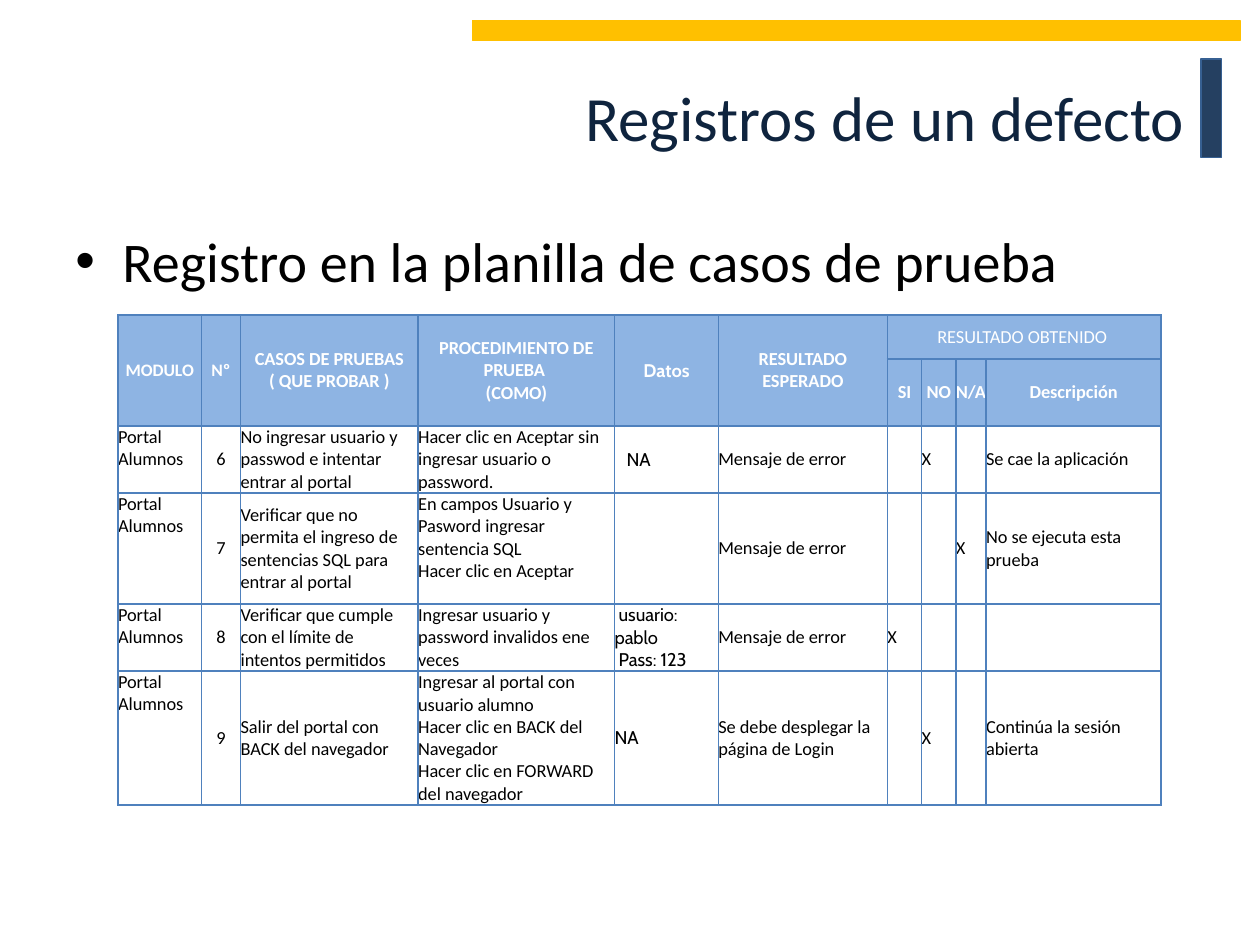
import dataclasses
import typing

import lxml.etree
import pptx
import pptx.dml.color
import pptx.enum.shapes
import pptx.enum.text
import pptx.oxml.ns
import pptx.util

Cm = pptx.util.Cm
Pt = pptx.util.Pt
Align = pptx.enum.text.PP_ALIGN
Anchor = pptx.enum.text.MSO_ANCHOR


@dataclasses.dataclass(frozen=True)
class Theme:
    """Colours, fonts and type sizes of the slide."""
    navy: str = "254061"
    navy_line: str = "376092"
    gold: str = "FFC000"
    title: str = "0F243E"
    header: str = "8EB4E3"
    grid: str = "4F81BD"
    white: str = "FFFFFF"
    black: str = "000000"
    font: str = "Calibri"
    data_font: str = "Cabin"
    title_size: float = 36
    body_size: float = 32
    table_size: float = 10.5
    small_size: float = 10


@dataclasses.dataclass(frozen=True)
class Bar:
    """A decorative bar, with lengths in centimetres."""
    left: float
    top: float
    width: float
    height: float
    fill: str
    line: str


@dataclasses.dataclass(frozen=True)
class Entry:
    """Text and format of one table cell; lines are paragraphs, \\v breaks a line."""
    text: str = ""
    align: Align = Align.LEFT
    anchor: Anchor = Anchor.MIDDLE
    color: str = "000000"
    font: str = "Calibri"
    size: float = 10.5
    bold: bool = False
    fill: typing.Optional[str] = None
    margin_left: float = 0
    margin_bottom: float = 0


@dataclasses.dataclass(frozen=True)
class TestCase:
    """One row of the test sheet."""
    number: str
    case: str
    procedure: str
    data: str
    expected: str
    outcome: str
    description: str
    case_anchor: Anchor = Anchor.MIDDLE
    data_indent: float = 0
    procedure_space: float = 0


THEME = Theme()
OUTCOMES = ("SI", "NO", "N/A")
COLUMN_WIDTHS = (1.68, 0.79, 3.58, 3.96, 2.09, 3.41, 0.69, 0.69, 0.61, 3.53)
ROW_HEIGHTS = (0.89, 1.35, 1.35, 2.24, 1.35, 2.7)
BARS = (
    Bar(24.21, 1.19, 0.41, 1.98, THEME.navy, THEME.navy_line),
    Bar(9.53, 0.41, 15.47, 0.41, THEME.gold, THEME.gold),
)
TEST_CASES = (
    TestCase("6", "No ingresar usuario y passwod e intentar entrar al portal",
             "Hacer clic en Aceptar sin ingresar usuario o password.", "NA",
             "Mensaje de error", "NO", "Se cae la aplicación",
             case_anchor=Anchor.TOP, data_indent=0.24),
    TestCase("7", "Verificar que no permita el ingreso de sentencias SQL para entrar al portal",
             "En campos Usuario y Pasword ingresar sentencia SQL\vHacer clic en Aceptar", "",
             "Mensaje de error", "N/A", "No se ejecuta esta prueba", procedure_space=0.45),
    TestCase("8", "Verificar que cumple con el límite de intentos permitidos",
             "Ingresar usuario y password invalidos ene veces", " usuario: pablo\n Pass: 123",
             "Mensaje de error", "SI", ""),
    TestCase("9", "Salir del portal con BACK del navegador",
             "Ingresar al portal con usuario alumno\vHacer clic en BACK del Navegador"
             "\vHacer clic en FORWARD del navegador", "NA",
             "Se debe desplegar la página de Login", "NO", "Continúa la sesión abierta"),
)


def rgb(color: str) -> pptx.dml.color.RGBColor:
    """Turn a hex string into a colour."""
    return pptx.dml.color.RGBColor.from_string(color)


def add_run(paragraph, text: str, size: float, color: str,
            font: str = THEME.font, bold: bool = False) -> None:
    """Add one formatted run to a paragraph."""
    run = paragraph.add_run()
    run.text = text
    run.font.name = font
    run.font.size = Pt(size)
    run.font.bold = bold
    run.font.color.rgb = rgb(color)


def add_bar(slide, bar: Bar) -> None:
    """Draw a decorative bar."""
    shape = slide.shapes.add_shape(pptx.enum.shapes.MSO_SHAPE.RECTANGLE, Cm(bar.left),
                                   Cm(bar.top), Cm(bar.width), Cm(bar.height))
    shape.shadow.inherit = False
    shape.fill.solid()
    shape.fill.fore_color.rgb = rgb(bar.fill)
    shape.line.color.rgb = rgb(bar.line)
    shape.line.width = Pt(0.75)


def set_title(slide, text: str) -> None:
    """Place and fill the title placeholder."""
    title = slide.shapes.title
    title.left, title.top, title.width, title.height = Cm(1.27), Cm(0.76), Cm(22.86), Cm(3.18)
    title.text_frame.vertical_anchor = Anchor.MIDDLE
    title.text_frame.auto_size = pptx.enum.text.MSO_AUTO_SIZE.NONE
    paragraph = title.text_frame.paragraphs[0]
    paragraph.alignment = Align.RIGHT
    add_run(paragraph, text, THEME.title_size, THEME.title)


def add_bullet(slide, text: str) -> None:
    """Add the bulleted statement above the table."""
    box = slide.shapes.add_textbox(Cm(1.27), Cm(4.45), Cm(22.86), Cm(12.57))
    box.text_frame.word_wrap = True
    paragraph = box.text_frame.paragraphs[0]
    paragraph.space_before = Pt(0.2 * THEME.body_size)
    properties = paragraph._p.get_or_add_pPr()
    properties.set("marL", str(Cm(0.95)))
    properties.set("indent", str(-Cm(0.95)))
    bullet_font = lxml.etree.SubElement(properties, pptx.oxml.ns.qn("a:buFont"))
    bullet_font.set("typeface", "Arial")
    lxml.etree.SubElement(properties, pptx.oxml.ns.qn("a:buChar")).set("char", "•")
    add_run(paragraph, text, THEME.body_size, THEME.black)


def set_borders(cell) -> None:
    """Give a cell a thin line on all four sides."""
    properties = cell._tc.get_or_add_tcPr()
    for side in ("lnL", "lnR", "lnT", "lnB"):
        line = lxml.etree.SubElement(properties, pptx.oxml.ns.qn("a:" + side))
        line.set("w", str(Pt(1)))
        fill = lxml.etree.SubElement(line, pptx.oxml.ns.qn("a:solidFill"))
        lxml.etree.SubElement(fill, pptx.oxml.ns.qn("a:srgbClr")).set("val", THEME.grid)


def fill_cell(cell, entry: Entry) -> None:
    """Format a cell and write its text."""
    set_borders(cell)
    cell.margin_right = cell.margin_top = 0
    cell.margin_left, cell.margin_bottom = Cm(entry.margin_left), Cm(entry.margin_bottom)
    cell.vertical_anchor = entry.anchor
    if entry.fill:
        cell.fill.solid()
        cell.fill.fore_color.rgb = rgb(entry.fill)
    else:
        cell.fill.background()
    for index, text in enumerate(entry.text.split("\n")):
        frame = cell.text_frame
        paragraph = frame.add_paragraph() if index else frame.paragraphs[0]
        paragraph.alignment = entry.align
        paragraph.font.size = Pt(entry.size)
        for part_index, part in enumerate(text.split("\v")):
            if part_index:
                paragraph.add_line_break()
            if part:
                add_run(paragraph, part, entry.size, entry.color, entry.font, entry.bold)


def header(text: str = "", **changes: typing.Any) -> Entry:
    """Make a header entry."""
    base = Entry(text, Align.CENTER, color=THEME.white, bold=True, fill=THEME.header)
    return dataclasses.replace(base, **changes)


def header_rows() -> typing.List[typing.List[Entry]]:
    """Make the two header rows."""
    top = [header("MODULO", size=THEME.small_size), header("Nº", size=THEME.small_size),
           header("CASOS DE PRUEBAS\v( QUE PROBAR )"),
           header("PROCEDIMIENTO DE PRUEBA \v(COMO)"),
           header("Datos", font=THEME.data_font), header("RESULTADO ESPERADO"),
           header("RESULTADO OBTENIDO ", bold=False)] + [header()] * 3
    return [top, [header()] * 6 + [header(text) for text in OUTCOMES + ("Descripción",)]]


def case_row(case: TestCase) -> typing.List[Entry]:
    """Make the entries of one test case."""
    marks = [Entry("X" if case.outcome == outcome else "") for outcome in OUTCOMES]
    return [Entry("Portal Alumnos", anchor=Anchor.TOP), Entry(case.number, Align.CENTER),
            Entry(case.case, anchor=case.case_anchor),
            Entry(case.procedure, margin_bottom=case.procedure_space),
            Entry(case.data, font=THEME.data_font, margin_left=case.data_indent),
            Entry(case.expected), *marks, Entry(case.description)]


def add_test_table(slide) -> None:
    """Build the test case sheet."""
    rows = header_rows() + [case_row(case) for case in TEST_CASES]
    table = slide.shapes.add_table(len(rows), len(COLUMN_WIDTHS), Cm(2.38), Cm(6.35),
                                   Cm(sum(COLUMN_WIDTHS)), Cm(sum(ROW_HEIGHTS))).table
    table.first_row = table.horz_banding = False
    for column, width in zip(table.columns, COLUMN_WIDTHS):
        column.width = Cm(width)
    for row_index, (entries, height) in enumerate(zip(rows, ROW_HEIGHTS)):
        table.rows[row_index].height = Cm(height)
        for column_index, entry in enumerate(entries):
            fill_cell(table.cell(row_index, column_index), entry)
    for column_index in range(6):
        table.cell(0, column_index).merge(table.cell(1, column_index))
    table.cell(0, 6).merge(table.cell(0, 9))


def main() -> None:
    """Build and save the slide."""
    presentation = pptx.Presentation()
    presentation.slide_width, presentation.slide_height = Cm(25.4), Cm(19.05)
    slide = presentation.slides.add_slide(presentation.slide_layouts[5])
    for bar in BARS:
        add_bar(slide, bar)
    add_bullet(slide, "Registro en la planilla de casos de prueba")
    set_title(slide, "Registros de un defecto")
    add_test_table(slide)
    presentation.save("out.pptx")


main()
